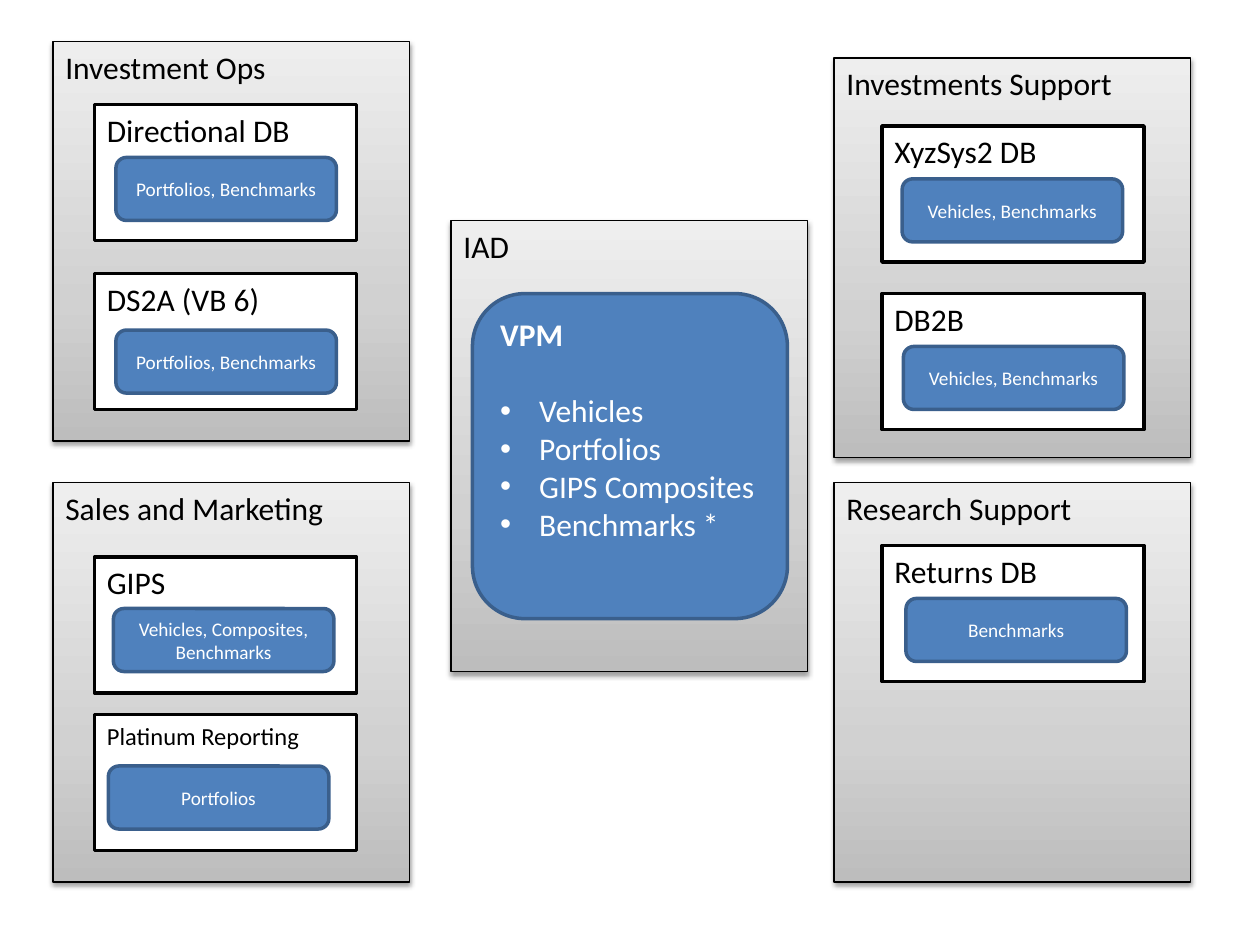
"""Build the slide that maps departments to their databases and data sets."""
from dataclasses import dataclass

from lxml import etree
from pptx import Presentation
from pptx.dml.color import RGBColor
from pptx.enum import shapes, text
from pptx.oxml.ns import qn
from pptx.util import Inches, Pt


@dataclass(frozen=True)
class Theme:
    font: str = "Calibri"
    black: str = "000000"
    white: str = "FFFFFF"
    blue: str = "4F81BD"
    blue_edge: str = "3A5F8C"
    panel_stops: tuple = ((0, "BDBDBD"), (35, "D1D1D1"), (100, "EEEEEE"))
    heading: float = 18
    small_heading: float = 14
    label: float = 11
    thin: float = 0.75
    thick: float = 2


THEME = Theme()
RECTANGLE = shapes.MSO_SHAPE.RECTANGLE
ROUNDED = shapes.MSO_SHAPE.ROUNDED_RECTANGLE


@dataclass(frozen=True)
class Database:
    name: str
    top: float
    data: str
    data_left: float
    data_top: float
    size: float = THEME.heading


@dataclass(frozen=True)
class Department:
    name: str
    left: float
    top: float
    database_left: float = 0
    databases: tuple = ()
    height: float = 3.17


DEPARTMENTS = (
    Department("IAD", 3.58, 1.75, height=3.58),
    Department("Investments Support", 6.62, 0.46, 7, (
        Database("XyzSys2 DB", 1, "Vehicles, Benchmarks", 7.16, 1.42),
        Database("DB2B", 2.33, "Vehicles, Benchmarks", 7.17, 2.75))),
    Department("Sales and Marketing", 0.42, 3.83, 0.75, (
        Database("GIPS", 4.42, "Vehicles, Composites, Benchmarks", 0.9, 4.83),
        Database("Platinum Reporting", 5.67, "Portfolios", 0.86, 6.08,
                 THEME.small_heading))),
    Department("Investment Ops", 0.42, 0.33, 0.75, (
        Database("Directional DB", 0.83, "Portfolios, Benchmarks", 0.92, 1.25),
        Database("DS2A (VB 6)", 2.17, "Portfolios, Benchmarks", 0.92, 2.62))),
    Department("Research Support", 6.62, 3.83, 7, (
        Database("Returns DB", 4.33, "Benchmarks", 7.19, 4.75),)),
)
VPM_ITEMS = ("Vehicles", "Portfolios", "GIPS Composites", "Benchmarks *")


def add_box(page, kind, left: float, top: float, width: float, height: float,
            fill: str, edge: str, weight: float):
    """Add a filled, outlined shape with top-aligned text and no shadow."""
    box = page.shapes.add_shape(
        kind, Inches(left), Inches(top), Inches(width), Inches(height))
    box.shadow.inherit = False
    box.fill.solid()
    box.fill.fore_color.rgb = RGBColor.from_string(fill)
    box.line.color.rgb = RGBColor.from_string(edge)
    box.line.width = Pt(weight)
    box.text_frame.word_wrap = True
    box.text_frame.vertical_anchor = text.MSO_ANCHOR.TOP
    return box


def write(para, words: str, size: float, colour: str,
          align=text.PP_ALIGN.LEFT) -> None:
    """Fill a paragraph with uniformly formatted text."""
    para.text = words
    para.alignment = align
    para.font.name = THEME.font
    para.font.size = Pt(size)
    para.font.color.rgb = RGBColor.from_string(colour)


def add_colour(parent, colour: str):
    """Append an RGB colour element."""
    return etree.SubElement(parent, qn("a:srgbClr"), val=colour)


def shade_panel(box) -> None:
    """Give a panel its three-stop gradient and soft shadow."""
    box.fill.gradient()
    box.fill.gradient_angle = 90
    properties = box.element.spPr
    stops = properties.find(".//" + qn("a:gsLst"))
    for stop in list(stops):
        stops.remove(stop)
    for position, colour in THEME.panel_stops:
        add_colour(etree.SubElement(stops, qn("a:gs"), pos=str(position * 1000)), colour)
    shadow = etree.SubElement(
        properties.find(qn("a:effectLst")), qn("a:outerShdw"),
        blurRad=str(Pt(3.1)), dist=str(Pt(1.6)), dir="5400000", rotWithShape="0")
    etree.SubElement(add_colour(shadow, THEME.black), qn("a:alpha"), val="38000")


def add_bullet(para) -> None:
    """Give a paragraph a hanging bullet."""
    properties = para._p.get_or_add_pPr()
    properties.set("marL", str(Inches(0.31)))
    properties.set("indent", str(-Inches(0.31)))
    bullet_font = etree.Element(qn("a:buFont"), typeface="Arial")
    bullet = etree.Element(qn("a:buChar"), char="•")
    properties.insert(0, bullet_font)
    bullet_font.addnext(bullet)


def draw_database(page, database: Database, left: float) -> None:
    """Draw a database box and the data set it holds."""
    box = add_box(page, RECTANGLE, left, database.top, 2.08, 1.08,
                  THEME.white, THEME.black, THEME.thick)
    write(box.text_frame.paragraphs[0], database.name, database.size, THEME.black)
    data = add_box(page, ROUNDED, database.data_left, database.data_top, 1.75, 0.5,
                   THEME.blue, THEME.blue_edge, THEME.thick)
    data.text_frame.vertical_anchor = text.MSO_ANCHOR.MIDDLE
    write(data.text_frame.paragraphs[0], database.data, THEME.label, THEME.white,
          text.PP_ALIGN.CENTER)


def draw_department(page, department: Department) -> None:
    """Draw a department panel with its databases."""
    panel = add_box(page, RECTANGLE, department.left, department.top, 2.83,
                    department.height, THEME.white, THEME.black, THEME.thin)
    shade_panel(panel)
    write(panel.text_frame.paragraphs[0], department.name, THEME.heading, THEME.black)
    for database in department.databases:
        draw_database(page, database, department.database_left)


def draw_vpm(page) -> None:
    """Draw the central VPM box with its bulleted contents."""
    box = add_box(page, ROUNDED, 3.75, 2.33, 2.5, 2.58,
                  THEME.blue, THEME.blue_edge, THEME.thick)
    title = box.text_frame.paragraphs[0]
    write(title, "VPM", THEME.heading, THEME.white)
    title.font.bold = True
    title.space_after = Pt(22)
    for item in VPM_ITEMS:
        para = box.text_frame.add_paragraph()
        write(para, item, THEME.heading, THEME.white)
        add_bullet(para)


def main() -> None:
    """Create and save the deck."""
    deck = Presentation()
    deck.slide_width, deck.slide_height = Inches(10), Inches(7.5)
    page = deck.slides.add_slide(deck.slide_layouts.get_by_name("Blank"))
    for department in DEPARTMENTS:
        draw_department(page, department)
    draw_vpm(page)
    deck.save("out.pptx")


if __name__ == "__main__":
    main()
